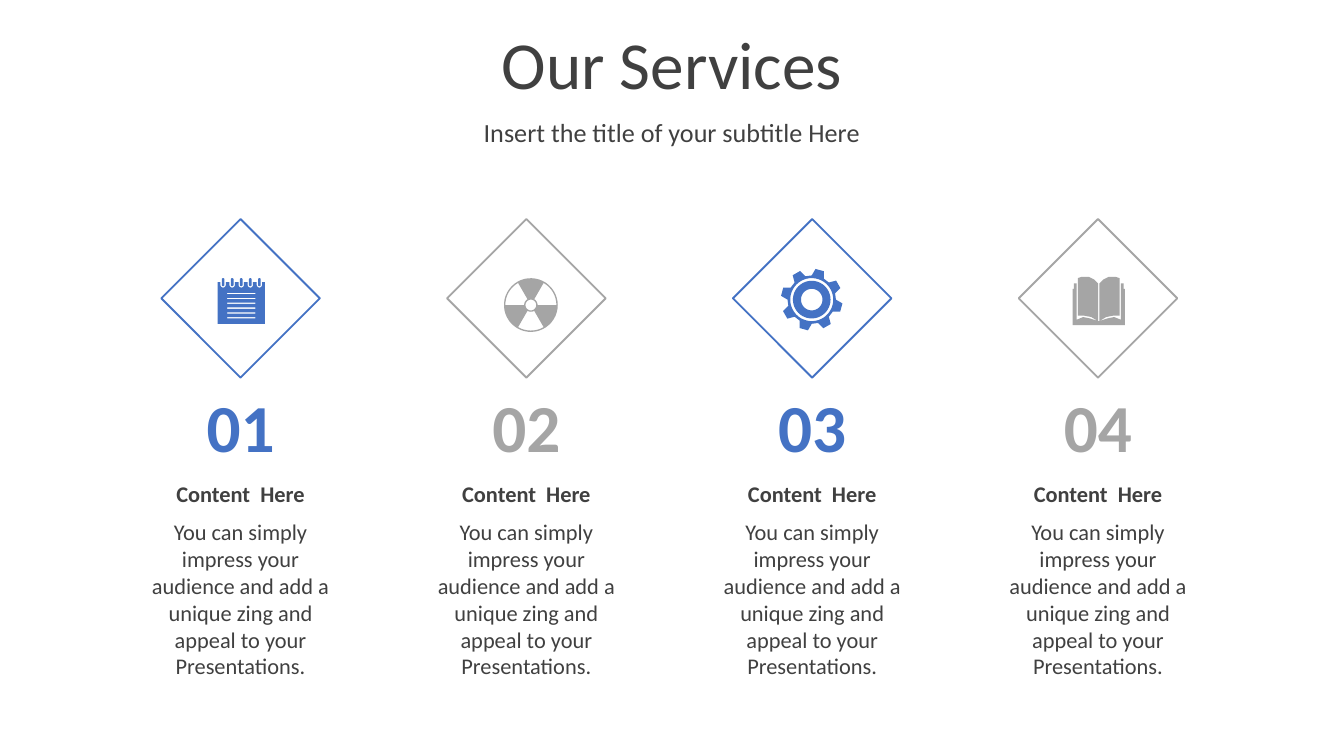
from math import cos, radians, sin

from pptx import Presentation
from pptx.dml.color import RGBColor
from pptx.enum.shapes import MSO_SHAPE
from pptx.enum.text import MSO_ANCHOR, MSO_AUTO_SIZE, PP_ALIGN
from pptx.util import Inches, Pt

BLUE, GRAY, DARK, WHITE = "4472C4", "A5A5A5", "404040", "FFFFFF"
TITLE = "Our Services"
SUBTITLE = "Insert the title of your subtitle Here"
BLURB = ("You can simply impress your audience and add a unique zing "
         "and appeal to your Presentations.")
SERVICES = [
    ("01", "Content  Here", BLURB, BLUE, "notepad"),
    ("02", "Content  Here", BLURB, GRAY, "radiation"),
    ("03", "Content  Here", BLURB, BLUE, "gear"),
    ("04", "Content  Here", BLURB, GRAY, "book"),
]
SLIDE_WIDTH = Inches(10)
SLIDE_HEIGHT = SLIDE_WIDTH * 9 // 16
FIRST_CENTER, LAST_CENTER = 1.79, 8.17
PITCH = (LAST_CENTER - FIRST_CENTER) / (len(SERVICES) - 1)
DIAMOND_TOP, DIAMOND_SIZE = 1.63, 1.18

# Top, width, height and font of the three texts under each diamond
NUMBER = (2.81, 0.94, 0.71, {"size": Pt(36), "bold": True})
HEADING = (3.52, 1.71, 0.3, {"size": Pt(12), "bold": True})
DESCRIPTION = (3.8, 1.69, 1.31, {"size": Pt(12), "bold": False})


def rgb(value):
    return RGBColor.from_string(value)


def arc(x, y, radius, start, end):
    """Points of a circular arc; degrees run clockwise from the right."""
    steps = max(6, round(abs(end - start) / 8))
    angles = [radians(start + (end - start) * i / steps) for i in range(steps + 1)]
    return [(x + radius * cos(a), y + radius * sin(a)) for a in angles]


def notepad():
    ring_centers = [1.66 + 0.27 * i / 4 for i in range(5)]
    page = [(1.62, 2.1)]
    rings = []
    for x in ring_centers:
        page += [(x - 0.02, 2.1), *arc(x, 2.12, 0.02, 180, 0), (x + 0.02, 2.1)]
        rings.append(arc(x, 2.08, 0.01, 180, 360) + arc(x, 2.12, 0.01, 0, 180))
    page += [(1.97, 2.1), (1.97, 2.41), (1.62, 2.41)]
    rows = [2.18 + 0.18 * i / 5 for i in range(6)]
    lines = [[(1.69, y), (1.9, y), (1.9, y + 0.01), (1.69, y + 0.01)] for y in rows]
    return [page, *rings, *lines]


def radiation():
    x, y = 3.95, 2.27
    blades = [arc(x, y, 0.19, a, a + 60) + arc(x, y, 0.05, a + 60, a)
              for a in (60, 180, 300)]
    return [arc(x, y, 0.2, 0, 360), arc(x, y, 0.04, 0, 360), *blades]


def gear():
    x, y = 6.04, 2.23
    teeth = []
    for tooth in range(8):
        middle = -75 + 45 * tooth
        for offset, radius in ((-15, 0.18), (-8, 0.23), (8, 0.23), (15, 0.18)):
            angle = radians(middle + offset)
            teeth.append((x + radius * cos(angle), y + radius * sin(angle)))
    return [teeth, *(arc(x, y, radius, 0, 360) for radius in (0.16, 0.14, 0.08))]


def book():
    spine, axis = 8.17, 8.175
    left_cover = [(spine, 2.42), (7.98, 2.42), (7.98, 2.15), (7.99, 2.15), (7.99, 2.11),
                  (8.01, 2.11), (8.01, 2.38), (8.06, 2.36), (8.11, 2.37), (spine, 2.39)]
    left_page = [(8.02, 2.07), (8.05, 2.06), (8.1, 2.06), (8.14, 2.08), (spine, 2.11),
                 (spine, 2.39), (8.12, 2.36), (8.07, 2.35), (8.02, 2.35)]

    def mirror(points):
        return [(2 * axis - x, y) for x, y in points]

    return [left_cover + mirror(left_cover)[::-1], left_page, mirror(left_page)]


ICONS = {"notepad": notepad, "radiation": radiation, "gear": gear, "book": book}


def add_icon(slide, contours, color):
    """Draw all contours as one shape; inner contours become holes."""
    outlines = [[(Inches(x), Inches(y)) for x, y in points] for points in contours]
    builder = slide.shapes.build_freeform(*outlines[0][0])
    for i, points in enumerate(outlines):
        if i:
            builder.move_to(*points[0])
        builder.add_line_segments(points[1:], close=True)
    icon = builder.convert_to_shape()
    icon.shadow.inherit = False
    icon.fill.solid()
    icon.fill.fore_color.rgb = rgb(color)
    icon.line.fill.background()


def write(shape, text, color, font, paragraph_format=None):
    frame = shape.text_frame
    for name, value in {"word_wrap": True, "auto_size": MSO_AUTO_SIZE.NONE,
                        "vertical_anchor": MSO_ANCHOR.MIDDLE}.items():
        setattr(frame, name, value)
    paragraph = frame.paragraphs[0]
    for name, value in {"alignment": PP_ALIGN.CENTER, **(paragraph_format or {})}.items():
        setattr(paragraph, name, value)
    run = paragraph.add_run()
    run.text = text
    for name, value in {"name": "Calibri", **font}.items():
        setattr(run.font, name, value)
    run.font.color.rgb = rgb(color)


def add_service(slide, center, service):
    number, heading, description, color, icon = service
    diamond = slide.shapes.add_shape(
        MSO_SHAPE.DIAMOND, Inches(center - DIAMOND_SIZE / 2), Inches(DIAMOND_TOP),
        Inches(DIAMOND_SIZE), Inches(DIAMOND_SIZE))
    diamond.shadow.inherit = False
    diamond.fill.solid()
    diamond.fill.fore_color.rgb = rgb(WHITE)
    diamond.line.color.rgb = rgb(color)
    diamond.line.width = Pt(1)
    add_icon(slide, ICONS[icon](), color)
    for text, text_color, (top, width, height, font) in (
            (number, color, NUMBER), (heading, DARK, HEADING),
            (description, DARK, DESCRIPTION)):
        box = slide.shapes.add_textbox(Inches(center - width / 2), Inches(top),
                                       Inches(width), Inches(height))
        write(box, text, text_color, font)


def main():
    deck = Presentation()
    deck.slide_width, deck.slide_height = SLIDE_WIDTH, SLIDE_HEIGHT
    slide = deck.slides.add_slide(deck.slide_layouts[0])
    title, subtitle = slide.placeholders
    for holder, text, top, height, size, spacing in (
            (title, TITLE, 0.21, 0.63, 36, 0.8),
            (subtitle, SUBTITLE, 0.84, 0.31, 14, 0.9)):
        for name, value in {"left": 0, "top": top, "width": 10, "height": height}.items():
            setattr(holder, name, Inches(value))
        write(holder, text, DARK, {"size": Pt(size)},
              {"line_spacing": spacing, "space_before": Pt(7.5)})
    for i, service in enumerate(SERVICES):
        add_service(slide, FIRST_CENTER + i * PITCH, service)
    deck.save("out.pptx")


if __name__ == "__main__":
    main()
